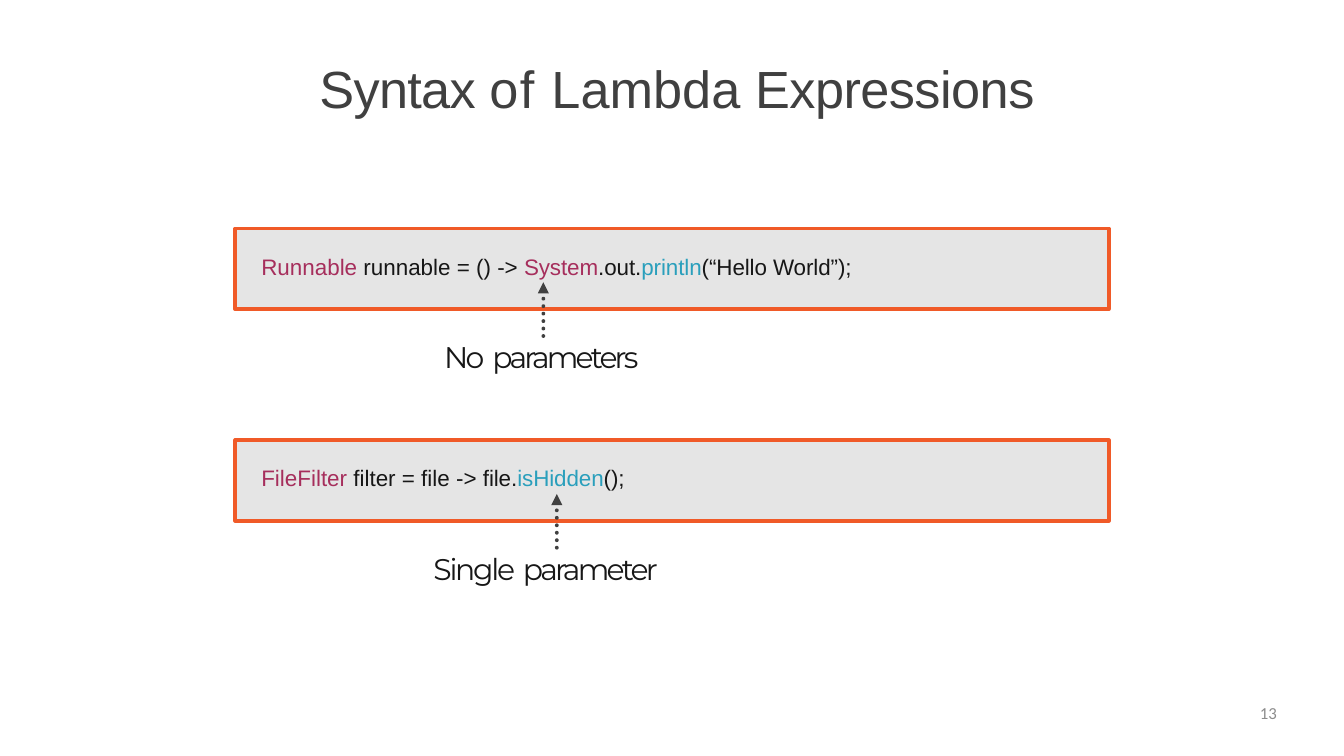
from math import cos, pi, sin

from lxml import etree
from pptx import Presentation
from pptx.dml.color import RGBColor
from pptx.enum.shapes import MSO_SHAPE
from pptx.enum.text import PP_ALIGN
from pptx.oxml.ns import qn
from pptx.util import Pt

RECTANGLE = MSO_SHAPE.RECTANGLE
LEFT, RIGHT = PP_ALIGN.LEFT, PP_ALIGN.RIGHT

DARK, INK, GRAY = "404040", "171717", "8C8C8C"
PANEL, ORANGE = "E5E5E5", "F05A28"
TYPE, METHOD = "A62E5C", "2A9FBC"

TITLE = [
    ("Syntax ", DARK, -0.8),
    ("of ", DARK, 1.4),
    ("Lambda ", DARK, 0),
    ("Expressions", DARK, -0.6),
]
EXAMPLES = [
    {
        "code": [
            ("Runnable ", TYPE, 0),
            ("runnable = () ", INK, 0),
            ("-", INK, -0.1),
            ("> ", INK, 0),
            ("System", TYPE, -0.1),
            (".out.", INK, -0.1),
            ("println", METHOD, -0.1),
            ("(“Hello World”);", INK, -0.1),
        ],
        "label": [("No", INK, -2.8), (" ", INK, 0), ("parameters", INK, -3.1)],
        "label_left": 475.8,
        "arrow_x": 582.2,
    },
    {
        "code": [
            ("FileFilter ", TYPE, 0),
            ("filter = file ", INK, 0),
            ("-", INK, -0.1),
            ("> ", INK, 0),
            ("file.", INK, -0.1),
            ("isHidden", METHOD, -0.1),
            ("();", INK, -0.1),
        ],
        "label": [("Single", INK, -2.5), (" ", INK, 0), ("parameter", INK, -3)],
        "label_left": 464.4,
        "arrow_x": 596.6,
    },
]
PAGE_NUMBER = [("13", GRAY, 0)]

PANEL_LEFT, PANEL_TOP, PANEL_WIDTH, PANEL_HEIGHT = 252, 244.8, 936, 86.4
PITCH = 226.8
HEAD_SIZE = 12
DOT_COUNT, DOT_RADIUS, DOT_PITCH, DOT_SIDES = 6, 2, 8, 16
FIRST_DOT = 17.6


def color(value):
    return RGBColor.from_string(value)


def add_text(slide, runs, left, top, width, height, size, font="Arial", align=LEFT):
    frame = slide.shapes.add_textbox(Pt(left), Pt(top), Pt(width), Pt(height)).text_frame
    frame.word_wrap = True
    frame.margin_left = frame.margin_right = frame.margin_top = frame.margin_bottom = 0
    paragraph = frame.paragraphs[0]
    paragraph.alignment = align
    for text, fill, spacing in runs:
        run = paragraph.add_run()
        run.text = text
        run.font.size = Pt(size)
        run.font.name = font
        run.font.color.rgb = color(fill)
        run.font._element.set("spc", str(round(spacing * 100)))


def add_panel(slide, top):
    panel = slide.shapes.add_shape(
        RECTANGLE, Pt(PANEL_LEFT), Pt(top), Pt(PANEL_WIDTH), Pt(PANEL_HEIGHT)
    )
    panel.shadow.inherit = False
    panel.fill.solid()
    panel.fill.fore_color.rgb = color(PANEL)
    panel.line.color.rgb = color(ORANGE)
    panel.line.width = Pt(4)
    etree.SubElement(panel.line._get_or_add_ln(), qn("a:round"))


def dot_outline(x, y):
    angles = [2 * pi * side / DOT_SIDES for side in range(DOT_SIDES)]
    return [(x + DOT_RADIUS * cos(angle), y + DOT_RADIUS * sin(angle)) for angle in angles]


def add_arrow(slide, x, top):
    base = top + HEAD_SIZE
    head = [(x, top), (x - HEAD_SIZE / 2, base), (x + HEAD_SIZE / 2, base)]
    dots = [dot_outline(x, top + FIRST_DOT + index * DOT_PITCH) for index in range(DOT_COUNT)]
    builder = slide.shapes.build_freeform(Pt(x), Pt(top))
    for outline in [head] + dots:
        points = [(Pt(across), Pt(down)) for across, down in outline]
        builder.move_to(*points[0])
        builder.add_line_segments(points[1:], close=True)
    arrow = builder.convert_to_shape()
    arrow.shadow.inherit = False
    arrow.fill.solid()
    arrow.fill.fore_color.rgb = color(DARK)
    arrow.line.fill.background()


def main():
    presentation = Presentation()
    presentation.slide_width = Pt(1440)
    presentation.slide_height = Pt(810)
    slide = presentation.slides.add_slide(presentation.slide_layouts[6])

    add_text(slide, TITLE, 342.3, 59.8, 964, 69, size=56)
    for index, example in enumerate(EXAMPLES):
        top = PANEL_TOP + index * PITCH
        add_panel(slide, top)
        add_text(slide, example["code"], 280, top + 26, 800, 30, size=24)
        add_text(slide, example["label"], example["label_left"], top + 118, 300, 40,
                 size=32, font="Montserrat")
        add_arrow(slide, example["arrow_x"], top + 57.6)
    add_text(slide, PAGE_NUMBER, 1036.8, 753.1, 331.2, 40, size=18, font="Calibri", align=RIGHT)

    presentation.save("out.pptx")


if __name__ == "__main__":
    main()
